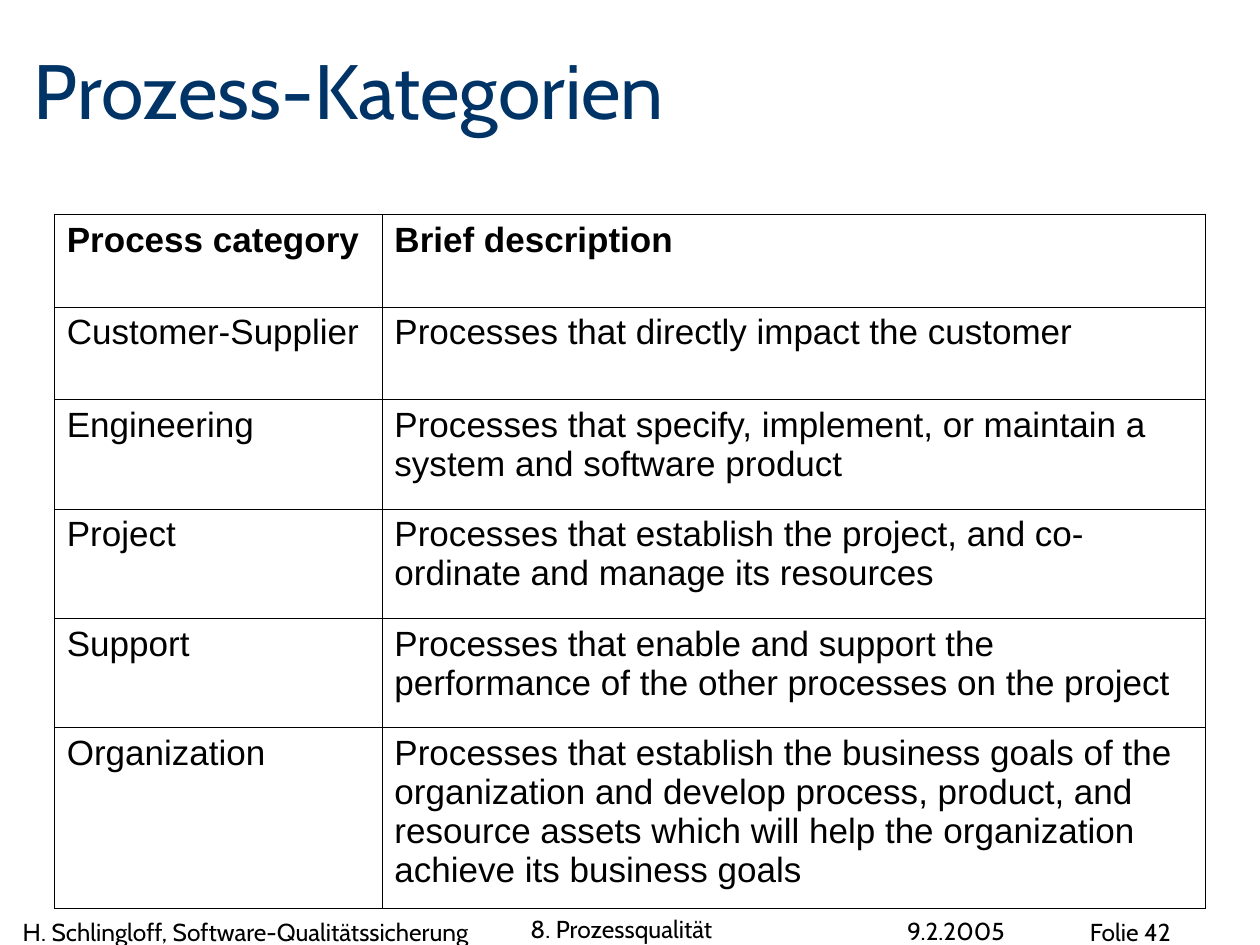
import pptx
import pptx.dml.color
import pptx.enum.text
import pptx.oxml
import pptx.oxml.ns
import pptx.util

Pt = pptx.util.Pt
ANCHOR = pptx.enum.text.MSO_ANCHOR
BLACK = pptx.dml.color.RGBColor(0x00, 0x00, 0x00)
NAVY = pptx.dml.color.RGBColor(0x00, 0x33, 0x66)

COLUMN_WIDTHS = (187.2, 470.6)
ROW_HEIGHTS = (53, 53, 62.5, 62.5, 62.5, 103.5)
CATEGORIES = (
    ("Process category", "Brief description"),
    ("Customer-Supplier", "Processes that directly impact the customer"),
    ("Engineering", "Processes that specify, implement, or maintain a system and software product"),
    ("Project", "Processes that establish the project, and co-ordinate and manage its resources"),
    ("Support", "Processes that enable and support the performance of the other processes on the project"),
    ("Organization", "Processes that establish the business goals of the organization and develop process, "
     "product, and resource assets which will help the organization achieve its business goals"),
)
FOOTERS = (
    ("H. Schlingloff, Software-Qualitätssicherung", (13, 524.2, 283, 16.8), ANCHOR.TOP),
    ("8. Prozessqualität", (303.1, 519.1, 209.5, 20.2), ANCHOR.BOTTOM),
    ("9.2.2005", (518.4, 524.9, 113, 15.1), ANCHOR.BOTTOM),
    ("Folie 42", (622.8, 524.2, 90, 16.8), ANCHOR.TOP),
)


def write_text(frame, text, font="Cabin", size=14, color=BLACK, bold=False):
    """Write one formatted paragraph into a text frame."""
    frame.word_wrap = True
    span = frame.paragraphs[0].add_run()
    span.text = text
    span.font.name = font
    span.font.size = Pt(size)
    span.font.bold = bold
    span.font.color.rgb = color


def add_label(page, text, place, anchor, **style):
    """Add a text box without margins."""
    box = page.shapes.add_textbox(*(Pt(length) for length in place))
    frame = box.text_frame
    frame.margin_left = frame.margin_top = frame.margin_right = frame.margin_bottom = 0
    frame.vertical_anchor = anchor
    write_text(frame, text, **style)


def draw_borders(cell, width=0.45, color=BLACK):
    """Outline a cell on all four sides."""
    properties = cell._tc.get_or_add_tcPr()
    for position, side in enumerate(("lnL", "lnR", "lnT", "lnB")):
        properties.insert(position, pptx.oxml.parse_xml(
            f'<a:{side} {pptx.oxml.ns.nsdecls("a")} w="{int(Pt(width))}">'
            f'<a:solidFill><a:srgbClr val="{color}"/></a:solidFill></a:{side}>'))


def add_category_table(page, left, top):
    """Add the bordered table of process categories."""
    table = page.shapes.add_table(
        len(CATEGORIES), len(COLUMN_WIDTHS), Pt(left), Pt(top),
        Pt(sum(COLUMN_WIDTHS)), Pt(sum(ROW_HEIGHTS))).table
    table.horz_banding = False
    for column, width in zip(table.columns, COLUMN_WIDTHS):
        column.width = Pt(width)
    for index, (row, height, texts) in enumerate(zip(table.rows, ROW_HEIGHTS, CATEGORIES)):
        row.height = Pt(height)
        for cell, text in zip(row.cells, texts):
            cell.fill.background()
            draw_borders(cell)
            write_text(cell.text_frame, text, font="Arial", size=20, bold=index == 0)


def main():
    """Build and save the slide."""
    deck = pptx.Presentation()
    deck.slide_width, deck.slide_height = Pt(720), Pt(540)
    page = deck.slides.add_slide(deck.slide_layouts[6])
    add_label(page, "Prozess-Kategorien", (19.4, 25.9, 684.7, 51.1), ANCHOR.BOTTOM,
              size=44, color=NAVY)
    add_category_table(page, 31, 122.4)
    for text, place, anchor in FOOTERS:
        add_label(page, text, place, anchor)
    deck.save("out.pptx")


if __name__ == "__main__":
    main()
